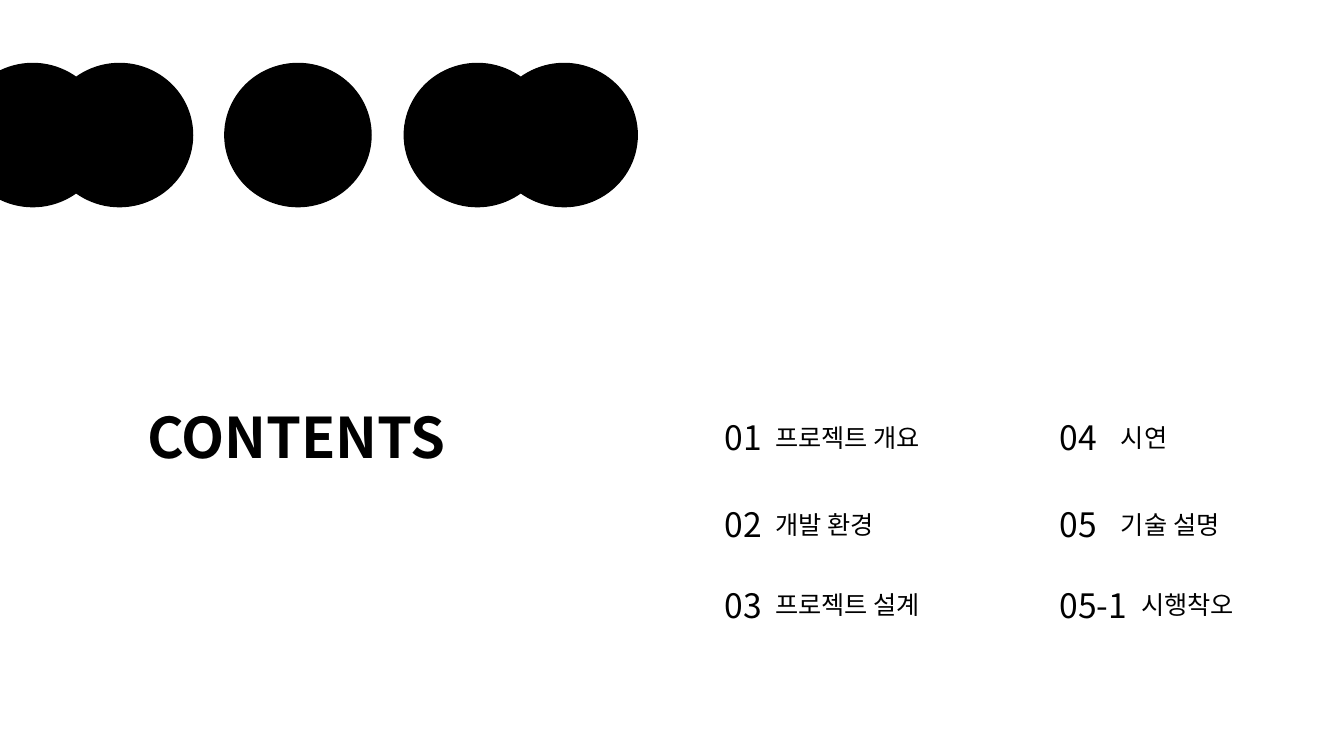
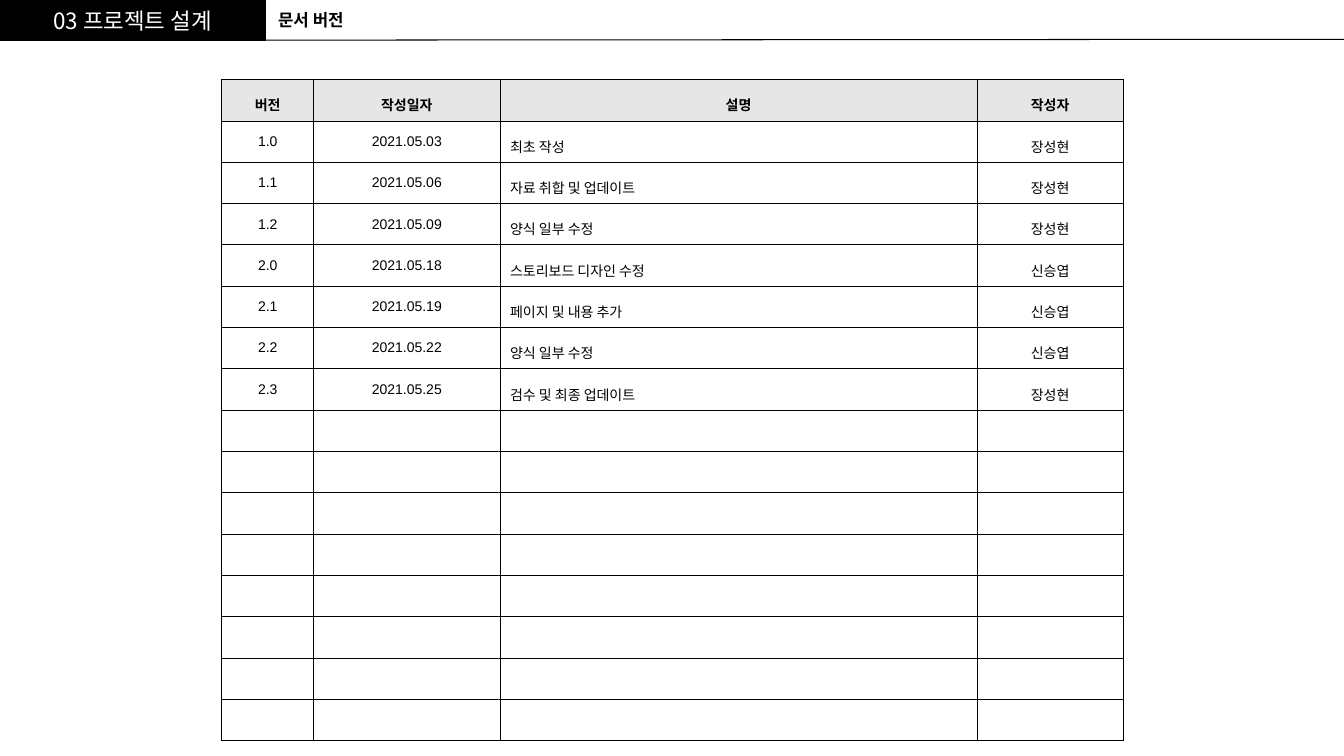
import lxml.etree
import pptx
import pptx.dml.color
import pptx.enum.shapes
import pptx.enum.text
import pptx.oxml.ns
import pptx.util

Inches = pptx.util.Inches
Pt = pptx.util.Pt
qn = pptx.oxml.ns.qn
Align = pptx.enum.text.PP_ALIGN
Shape = pptx.enum.shapes.MSO_SHAPE

BLACK = "000000"
WHITE = "FFFFFF"
HEADER_GRAY = "E7E6E6"
KOREAN_FONT = "Noto Sans CJK KR"
TABLE_FONT = "Arial"


def color(value):
    return pptx.dml.color.RGBColor.from_string(value)


def write(frame, text, size=18, font=KOREAN_FONT, fill=BLACK, bold=False,
          align=Align.LEFT, spacing=None):
    paragraph = frame.paragraphs[0]
    paragraph.alignment = align
    paragraph.line_spacing = spacing
    run = paragraph.add_run()
    run.text = text
    run.font.size = Pt(size)
    run.font.bold = bold
    run.font.color.rgb = color(fill)
    run.font.name = font
    east_asian = lxml.etree.SubElement(run.font._element, qn("a:ea"))
    east_asian.set("typeface", KOREAN_FONT)


class Deck:
    """Hold the presentation, its style and the current slide."""

    def __init__(self):
        self.presentation = pptx.Presentation()
        self.presentation.slide_width = Inches(13.33)
        self.presentation.slide_height = Inches(7.5)
        self.slide = None

    def add_slide(self):
        self.slide = self.presentation.slides.add_slide(self.presentation.slide_layouts[6])
        self.slide.background.fill.solid()
        self.slide.background.fill.fore_color.rgb = color(WHITE)

    def text(self, text, left, top, width, height, **style):
        box = self.slide.shapes.add_textbox(
            Inches(left), Inches(top), Inches(width), Inches(height))
        box.text_frame.word_wrap = True
        box.text_frame.auto_size = pptx.enum.text.MSO_AUTO_SIZE.SHAPE_TO_FIT_TEXT
        write(box.text_frame, text, **style)

    def shape(self, kind, left, top, width, height):
        shape = self.slide.shapes.add_shape(
            kind, Inches(left), Inches(top), Inches(width), Inches(height))
        shape.shadow.inherit = False
        shape.fill.solid()
        shape.fill.fore_color.rgb = color(BLACK)
        shape.line.color.rgb = color(BLACK)
        shape.line.width = Pt(1)
        return shape

    def line(self, left, top, right, bottom):
        connector = self.slide.shapes.add_connector(
            pptx.enum.shapes.MSO_CONNECTOR.STRAIGHT,
            Inches(left), Inches(top), Inches(right), Inches(bottom))
        connector.line.color.rgb = color(BLACK)
        connector.line.width = Pt(0.75)
        lxml.etree.SubElement(connector._element.spPr, qn("a:effectLst"))

    def section_header(self, section, title):
        band = self.shape(Shape.RECTANGLE, 0, 0, 2.63, 0.4)
        band.text_frame.vertical_anchor = pptx.enum.text.MSO_ANCHOR.MIDDLE
        write(band.text_frame, section, size=16, fill=WHITE, align=Align.CENTER)
        self.line(0, 0.4, 13.33, 0.39)
        self.text(title, 2.66, 0.05, 3, 0.3, size=12, bold=True)

    def cell_borders(self, cell):
        properties = cell._tc.get_or_add_tcPr()
        for side in ("a:lnL", "a:lnR", "a:lnT", "a:lnB"):
            border = lxml.etree.SubElement(properties, qn(side), w=str(Pt(0.75)))
            fill = lxml.etree.SubElement(border, qn("a:solidFill"))
            lxml.etree.SubElement(fill, qn("a:srgbClr"), val=BLACK)

    def table(self, rows, row_count, left, top, widths, row_height, left_column):
        table = self.slide.shapes.add_table(
            row_count, len(widths), Inches(left), Inches(top),
            Inches(sum(widths)), Inches(row_height * row_count)).table
        table.horz_banding = False
        for column, width in zip(table.columns, widths):
            column.width = Inches(width)
        for row_index, row in enumerate(table.rows):
            row.height = Inches(row_height)
            is_header = row_index == 0
            for column_index, cell in enumerate(row.cells):
                self.cell_borders(cell)
                cell.fill.solid()
                cell.fill.fore_color.rgb = color(HEADER_GRAY if is_header else WHITE)
                if row_index < len(rows):
                    is_left = column_index == left_column and not is_header
                    write(cell.text_frame, rows[row_index][column_index], size=10,
                          font=TABLE_FONT, bold=is_header, spacing=1.5,
                          align=Align.LEFT if is_left else Align.CENTER)


def contents_slide(deck):
    deck.add_slide()
    for left in (-0.4, 0.46, 2.23, 4.01, 4.87):
        deck.shape(Shape.OVAL, left, 0.63, 1.45, 1.42)
    deck.text("CONTENTS", 1.36, 3.94, 3.18, 0.8, size=40, bold=True)
    columns = [
        (7.09, [("01", "프로젝트 개요", 0.5), ("02", "개발 환경", 0.5),
                ("03", "프로젝트 설계", 0.5)]),
        (10.41, [("04", "시연", 0.61), ("05", "기술 설명", 0.61),
                 ("05-1", "시행착오", 0.81)]),
    ]
    for left, entries in columns:
        for top, (number, label, indent) in zip((4.09, 4.95, 5.75), entries):
            deck.text(number, left, top, 1.12, 0.5, size=24)
            deck.text(label, left + indent, top + 0.05, 1.64, 0.4)


def version_slide(deck):
    deck.add_slide()
    versions = [
        ("버전", "작성일자", "설명", "작성자"),
        ("1.0", "2021.05.03", "최초 작성", "장성현"),
        ("1.1", "2021.05.06", "자료 취합 및 업데이트", "장성현"),
        ("1.2", "2021.05.09", "양식 일부 수정", "장성현"),
        ("2.0", "2021.05.18", "스토리보드 디자인 수정", "신승엽"),
        ("2.1", "2021.05.19", "페이지 및 내용 추가", "신승엽"),
        ("2.2", "2021.05.22", "양식 일부 수정", "신승엽"),
        ("2.3", "2021.05.25", "검수 및 최종 업데이트", "장성현"),
    ]
    deck.table(versions, row_count=16, left=2.2, top=0.79,
               widths=(0.91, 1.85, 4.73, 1.45), row_height=0.41, left_column=2)
    deck.section_header("03 프로젝트 설계", "문서 버전")


def main():
    deck = Deck()
    contents_slide(deck)
    version_slide(deck)
    deck.presentation.save("out.pptx")


if __name__ == "__main__":
    main()
